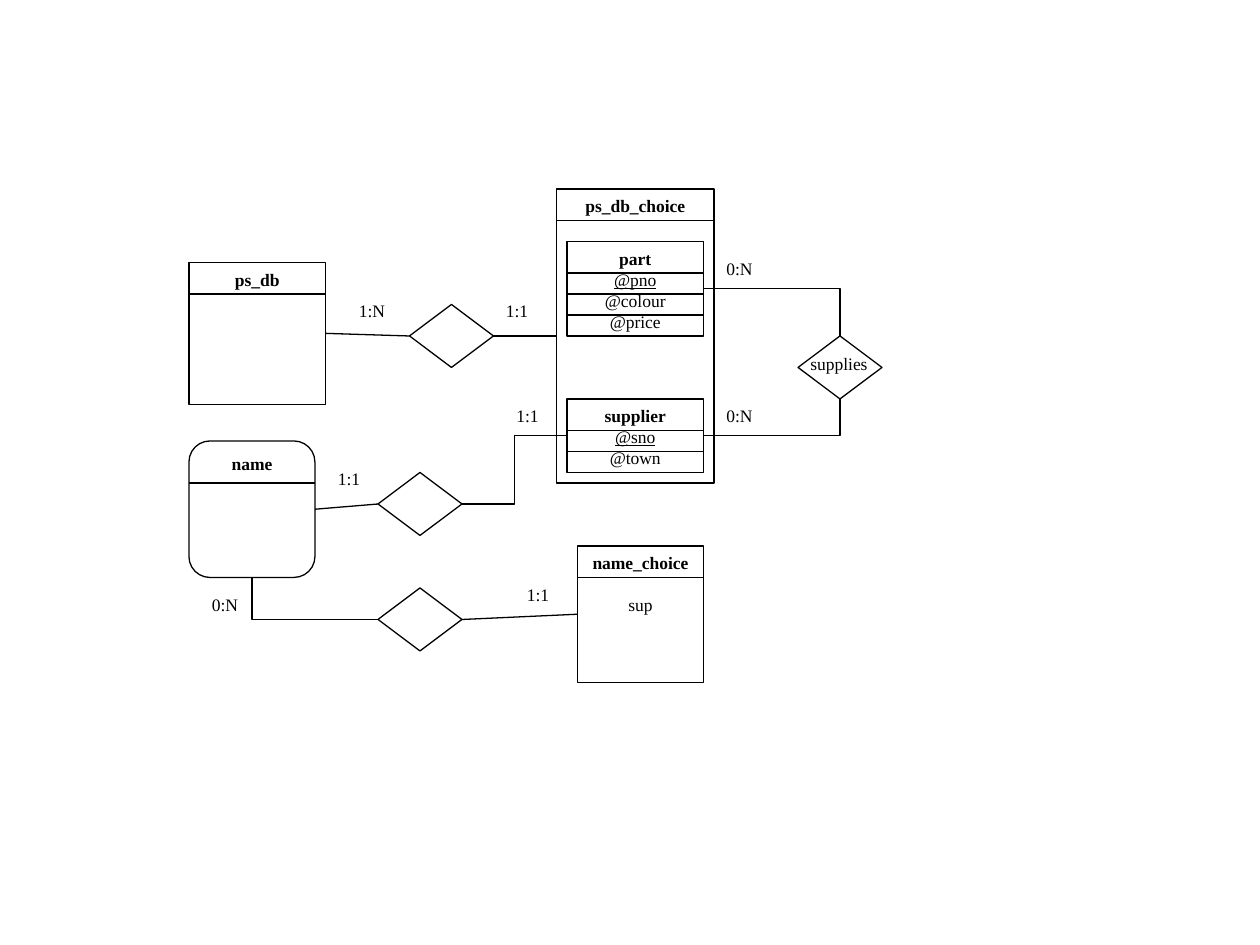
from lxml.etree import SubElement
from pptx import Presentation
from pptx.dml.color import RGBColor
from pptx.enum.shapes import MSO_CONNECTOR as LINK, MSO_SHAPE as SHAPE
from pptx.enum.text import MSO_ANCHOR as ANCHOR, MSO_AUTO_SIZE as FIT, PP_ALIGN as ALIGN
from pptx.oxml.ns import qn
from pptx.util import Pt

BLACK = RGBColor(0, 0, 0)
WHITE = RGBColor(255, 255, 255)
TOP, LEFT, BOTTOM, RIGHT = range(4)  # connection sites


class Diagram:
    """Draws an entity-relationship diagram; all lengths are in points."""

    font = {"name": "Times New Roman", "size": Pt(10)}
    line_width = 0.75
    header, row = 18, 12

    def __init__(self, slide):
        self.shapes = slide.shapes

    def outline(self, sp):
        sp.line.color.rgb = BLACK
        sp.line.width = Pt(self.line_width)

    def add_text(self, p, text, **extra):
        r = p.add_run()
        r.text = text
        for key, value in {**self.font, **extra}.items():
            setattr(r.font, key, value)
        r.font.color.rgb = BLACK

    def box(self, kind, x, y, w, h, filled=True):
        sp = self.shapes.add_shape(kind, Pt(x), Pt(y), Pt(w), Pt(h))
        sp.shadow.inherit = False
        if filled:
            sp.fill.solid()
            sp.fill.fore_color.rgb = WHITE
        else:
            sp.fill.background()
        self.outline(sp)
        return sp

    def entity(self, name, x, y, w, h, attributes=(), gap=0, kind=SHAPE.RECTANGLE,
               header=header, filled=True):
        """Box with a bold name, a divider per attribute and an underlined key."""
        sp = self.box(kind, x, y, w, h, filled)
        tf = sp.text_frame
        tf.word_wrap = False
        tf.vertical_anchor = ANCHOR.TOP
        p = tf.paragraphs[0]
        p.alignment = ALIGN.CENTER
        self.add_text(p, name, bold=True)
        for i, attribute in enumerate(attributes):
            p = tf.add_paragraph()
            p.alignment = ALIGN.CENTER
            p.space_before = Pt(gap)
            self.add_text(p, attribute, underline=i == 0 and attribute.startswith("@"))
        for i in range(max(1, len(attributes))):
            line_y = y + header + i * self.row
            self.link(LINK.STRAIGHT, (x, line_y), (x + w, line_y))
        return sp

    def relation(self, x, y):
        return self.box(SHAPE.DIAMOND, x, y, 48, 36)

    def label(self, text, x, y, w=36):
        sp = self.shapes.add_textbox(Pt(x), Pt(y), Pt(w), Pt(19.4))
        tf = sp.text_frame
        tf.word_wrap = True
        tf.auto_size = FIT.SHAPE_TO_FIT_TEXT
        self.add_text(tf.paragraphs[0], text)

    def link(self, kind, start=(0, 0), end=(0, 0)):
        c = self.shapes.add_connector(kind, *map(Pt, start + end))
        self.outline(c)
        SubElement(c._element.spPr, qn("a:effectLst"))
        return c

    def join(self, a, a_site, b, b_site, kind=LINK.STRAIGHT):
        c = self.link(kind)
        c.begin_connect(a, a_site)
        c.end_connect(b, b_site)
        return c

    def corner(self, a, a_site, b, b_site):
        """Join with one right-angled bend, leaving a sideways."""
        c = self.join(a, a_site, b, b_site, LINK.ELBOW)
        c._element.spPr.find(qn("a:prstGeom")).set("prst", "bentConnector2")


def main():
    prs = Presentation()
    prs.slide_width, prs.slide_height = Pt(720), Pt(540)
    d = Diagram(prs.slides.add_slide(prs.slide_layouts[6]))

    db_choice = d.entity("ps_db_choice", 318, 108, 90, 168)
    supplier = d.entity("supplier", 324, 228, 78, 42, ["@sno", "@town"])
    part = d.entity("part", 324, 138, 78, 54, ["@pno", "@colour", "@price"])
    db = d.entity("ps_db", 108, 150, 78, 81)
    name = d.entity("name", 108, 252, 72, 78, kind=SHAPE.ROUNDED_RECTANGLE,
                    header=24, filled=False)
    name_choice = d.entity("name_choice", 330, 312, 72, 78, ["sup"], gap=12, filled=False)

    supplies = d.relation(456, 192)
    db_has = d.relation(234, 174)
    name_of = d.relation(216, 270)
    name_has = d.relation(216, 336)

    d.corner(part, RIGHT, supplies, TOP)
    d.corner(supplier, RIGHT, supplies, BOTTOM)
    d.corner(name_has, LEFT, name, BOTTOM)
    d.join(name_of, RIGHT, supplier, LEFT, LINK.ELBOW)
    d.join(db, RIGHT, db_has, LEFT)
    d.join(db_has, RIGHT, db_choice, LEFT)
    d.join(name, RIGHT, name_of, LEFT)
    d.join(name_has, RIGHT, name_choice, LEFT)

    d.label("supplies", 456, 198, 48)
    for text, x, y in [("0:N", 408, 144), ("0:N", 408, 228),
                       ("1:N", 198, 168), ("1:1", 282, 168),
                       ("1:1", 186, 264), ("1:1", 288, 228),
                       ("0:N", 114, 336), ("1:1", 294, 330)]:
        d.label(text, x, y)

    prs.save("out.pptx")


if __name__ == "__main__":
    main()
